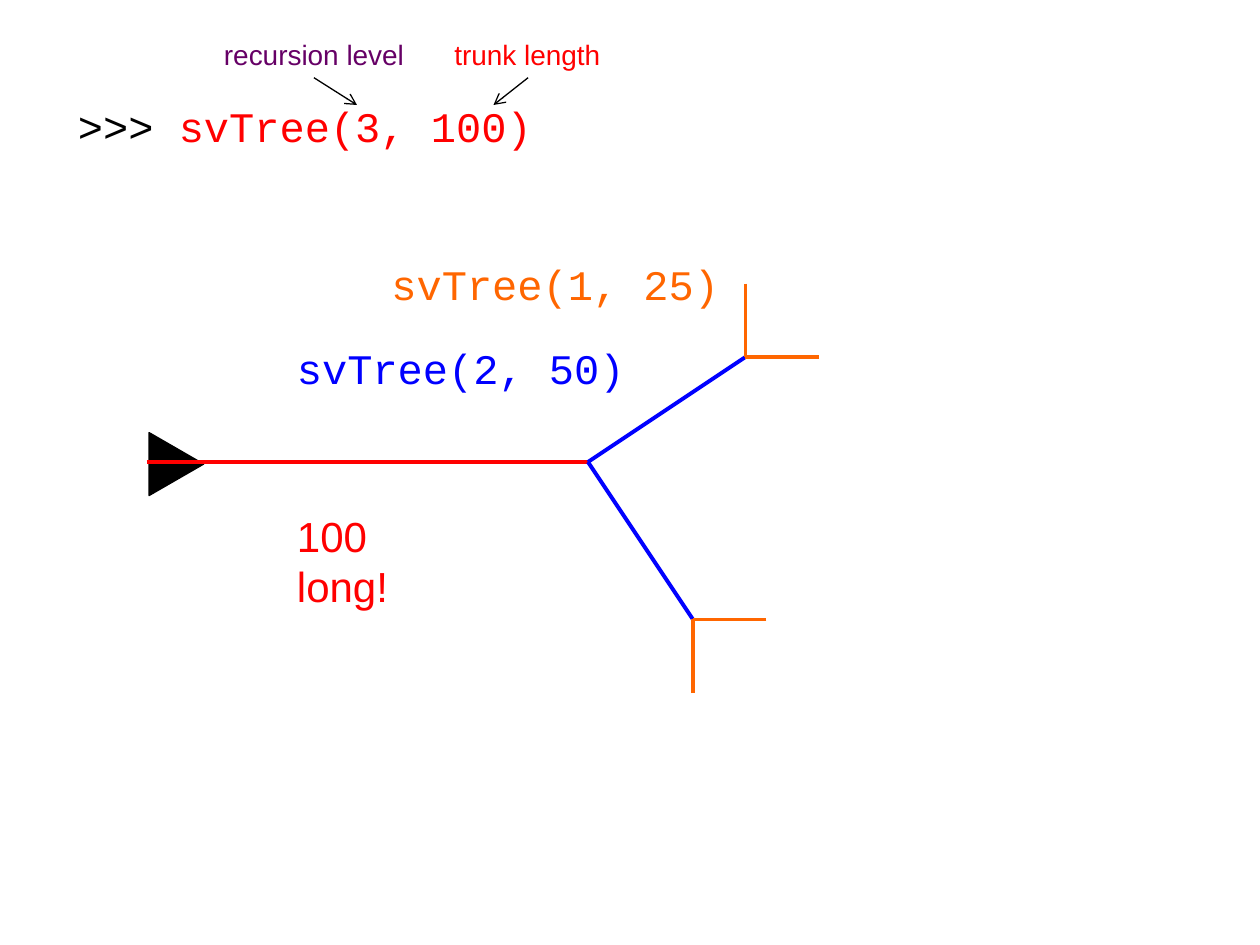
from lxml.etree import SubElement
from pptx import Presentation
from pptx.dml.color import RGBColor
from pptx.enum.shapes import MSO_CONNECTOR, MSO_SHAPE
from pptx.enum.text import MSO_AUTO_SIZE
from pptx.oxml.ns import qn
from pptx.util import Inches, Pt

BLACK, RED, BLUE, ORANGE, PURPLE = "000000", "FF0000", "0000FF", "FF6600", "660066"
color = RGBColor.from_string

presentation = Presentation()
presentation.slide_width = Inches(10)
presentation.slide_height = Inches(7.5)
slide = presentation.slides.add_slide(presentation.slide_layouts[6])
unit = presentation.slide_width / 120  # the slide is a grid of 120 columns by 90 rows


def grid(*cells):
    return [round(cell * unit) for cell in cells]


def add_line(shapes, start, end, line_color, width=2.25):
    line = shapes.add_connector(MSO_CONNECTOR.STRAIGHT, *grid(*start, *end))
    line.line.color.rgb = color(line_color)
    line.line.width = Pt(width)
    SubElement(line._element.spPr, qn("a:effectLst"))
    return line


# Labels: column, row, width, height, size, font, coloured runs
labels = [
    (6.25, 9, 45.6, 6, 24, "Courier New", [(">>> ", BLACK), ("svTree(3, 100)", RED)]),
    (20.15, 3, 19.6, 4.4, 16, "Arial", [("recursion level", PURPLE)]),
    (42.1, 3, 16.3, 4.4, 16, "Arial", [("trunk length", RED)]),
    (27.1, 48, 18.8, 6, 24, "Arial", [("100 long!", RED)]),
    (27.1, 32, 33.6, 6, 24, "Courier New", [("svTree(2, 50)", BLUE)]),
    (36.1, 24, 33.6, 6, 24, "Courier New", [("svTree(1, 25)", ORANGE)]),
]
for column, row, width, height, size, font, runs in labels:
    label = slide.shapes.add_textbox(*grid(column, row, width, height))
    label.text_frame.word_wrap = False
    label.text_frame.auto_size = MSO_AUTO_SIZE.SHAPE_TO_FIT_TEXT
    paragraph = label.text_frame.paragraphs[0]
    for text, text_color in runs:
        run = paragraph.add_run()
        run.text = text
        run.font.name = font
        run.font.size = Pt(size)
        run.font.color.rgb = color(text_color)

# Arrows from the parameter names to the arguments
for start, end in [((29.9, 7.4), (34, 10)), ((50.3, 7.4), (47, 10))]:
    arrow = add_line(slide.shapes, start, end, BLACK, 0.75)
    SubElement(arrow.line._get_or_add_ln(), qn("a:tailEnd"), type="arrow")

# Turtle
turtle = slide.shapes.add_shape(MSO_SHAPE.ISOSCELES_TRIANGLE, *grid(13.8, 41.6, 6, 5.2))
turtle.rotation = 90
turtle.shadow.inherit = False
turtle.fill.solid()
turtle.fill.fore_color.rgb = color(BLACK)
turtle.line.color.rgb = color(BLACK)
turtle.line.width = Pt(0.75)

# Tree: the trunk, then two branches with a level and an upright twig each
fork = (56, 44)
add_line(slide.shapes, (14, 44), fork, RED)
twig = 7
for (x, y), direction in [((71, 34), -1), ((66, 59), 1)]:
    branch = slide.shapes.add_group_shape()
    add_line(branch.shapes, fork, (x, y), BLUE)
    add_line(branch.shapes, (x, y + direction * twig), (x, y), ORANGE)
    add_line(branch.shapes, (x + twig, y), (x, y), ORANGE)

presentation.save("out.pptx")
